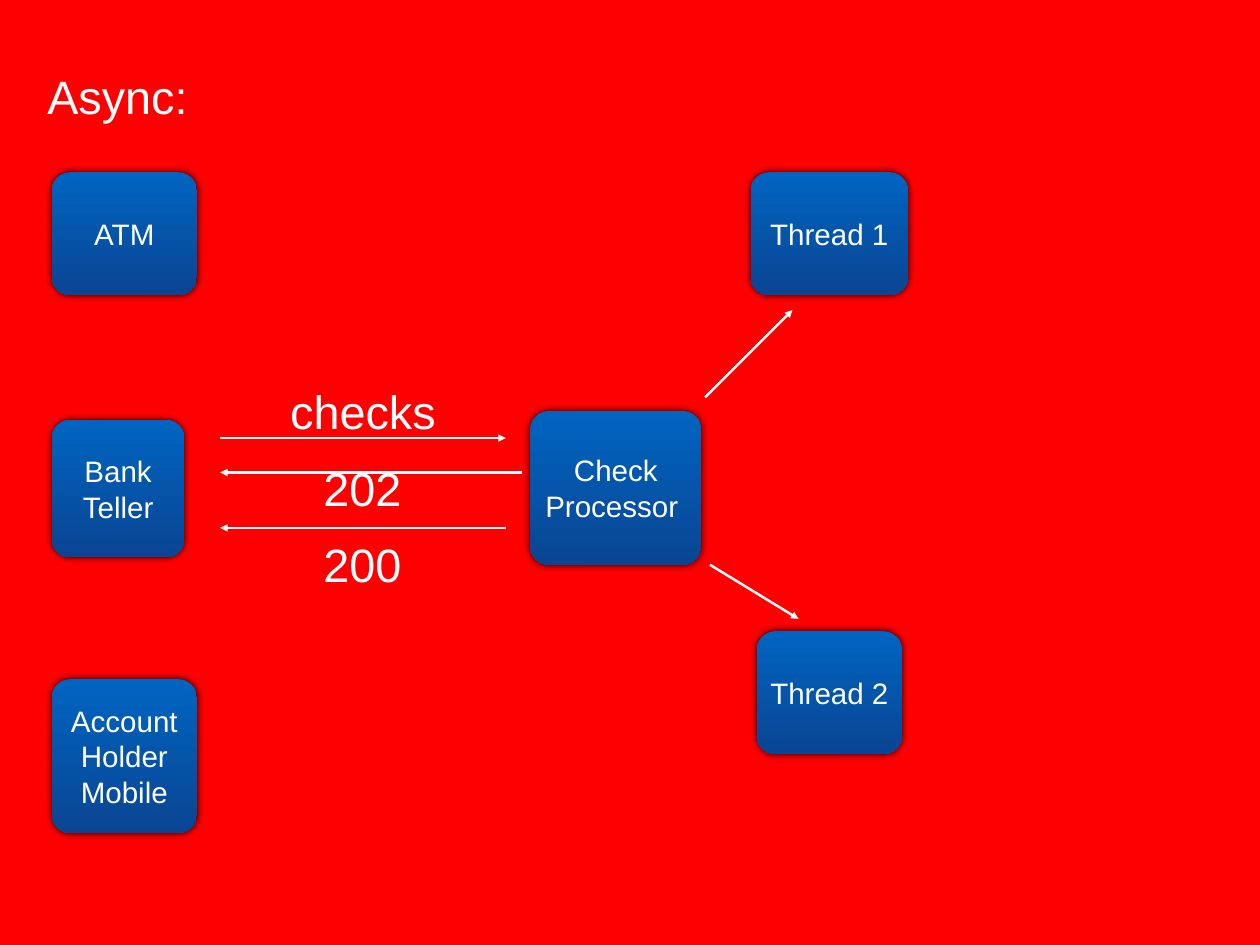
"""Build a slide that shows asynchronous check processing with threads."""
from lxml import etree
from pptx import Presentation
from pptx import util as u
from pptx.dml.color import RGBColor
from pptx.enum import shapes, text
from pptx.oxml import ns

RED = RGBColor(0xFF, 0x00, 0x00)
WHITE = RGBColor(0xFF, 0xFF, 0xFF)
BLUE_TOP = RGBColor(0x00, 0x65, 0xC1)
BLUE_BOTTOM = RGBColor(0x09, 0x45, 0x93)

FONT = "Arial"
INSET = 4
CORNER = 15
LABEL_HEIGHT = 54

ACTORS = [
    ("Bank Teller", 42, 341, 108, 112),
    ("Check Processor ", 431, 334, 139, 125),
    ("Thread 1", 610, 140, 128, 100),
    ("Thread 2", 615, 513, 118, 100),
    ("ATM", 42, 140, 118, 100),
    ("Account Holder Mobile", 42, 552, 118, 125),
]
LABELS = [
    ("Async:", 33, 51, 125),
    ("checks", 229, 307, 132),
    ("202", 258, 369, 73),
    ("200", 258, 431, 73),
]
ARROWS = [
    (179, 356, 411, 356),
    (424, 384, 179, 384),
    (411, 429, 179, 429),
    (573, 323, 644, 252),
    (577, 459, 649, 503),
]


def write(shape, words, size, wrap):
    frame = shape.text_frame
    frame.word_wrap = wrap
    frame.vertical_anchor = text.MSO_ANCHOR.MIDDLE
    frame.margin_left = frame.margin_right = u.Pt(INSET)
    frame.margin_top = frame.margin_bottom = u.Pt(INSET)
    para = frame.paragraphs[0]
    para.text = words
    para.alignment = text.PP_ALIGN.CENTER
    para.font.name = FONT
    para.font.size = u.Pt(size)
    para.font.color.rgb = WHITE


def add_glow_shadow(shape):
    shape.shadow.inherit = False
    effects = shape.element.spPr.find(ns.qn("a:effectLst"))
    shadow = etree.SubElement(effects, ns.qn("a:outerShdw"), blurRad=str(u.Pt(6)),
                              dist="0", dir=str(315 * 60000), rotWithShape="0")
    color = etree.SubElement(shadow, ns.qn("a:srgbClr"), val="000000")
    etree.SubElement(color, ns.qn("a:alpha"), val="80000")


def add_actor(page, words, left, top, width, height):
    box = page.shapes.add_shape(shapes.MSO_SHAPE.ROUNDED_RECTANGLE,
                                u.Pt(left), u.Pt(top), u.Pt(width), u.Pt(height))
    box.adjustments[0] = CORNER / min(width, height)
    box.fill.gradient()
    box.fill.gradient_angle = 270
    for stop, color in zip(box.fill.gradient_stops, (BLUE_TOP, BLUE_BOTTOM)):
        stop.color.rgb = color
    box.line.fill.background()
    add_glow_shadow(box)
    write(box, words, 24, True)


def add_label(page, words, left, top, width):
    box = page.shapes.add_textbox(u.Pt(left), u.Pt(top), u.Pt(width), u.Pt(LABEL_HEIGHT))
    write(box, words, 38, False)


def add_arrow(page, *ends):
    arrow = page.shapes.add_connector(shapes.MSO_CONNECTOR.STRAIGHT, *map(u.Pt, ends))
    arrow.line.color.rgb = WHITE
    arrow.line.width = u.Pt(2)
    properties = arrow.element.spPr
    etree.SubElement(properties.find(ns.qn("a:ln")), ns.qn("a:tailEnd"), type="triangle")
    etree.SubElement(properties, ns.qn("a:effectLst"))


def main():
    deck = Presentation()
    deck.slide_width, deck.slide_height = u.Pt(1024), u.Pt(768)
    page = deck.slides.add_slide(deck.slide_layouts[6])
    page.background.fill.solid()
    page.background.fill.fore_color.rgb = RED
    for actor in ACTORS:
        add_actor(page, *actor)
    for arrow in ARROWS:
        add_arrow(page, *arrow)
    for label in LABELS:
        add_label(page, *label)
    deck.save("out.pptx")


if __name__ == "__main__":
    main()
